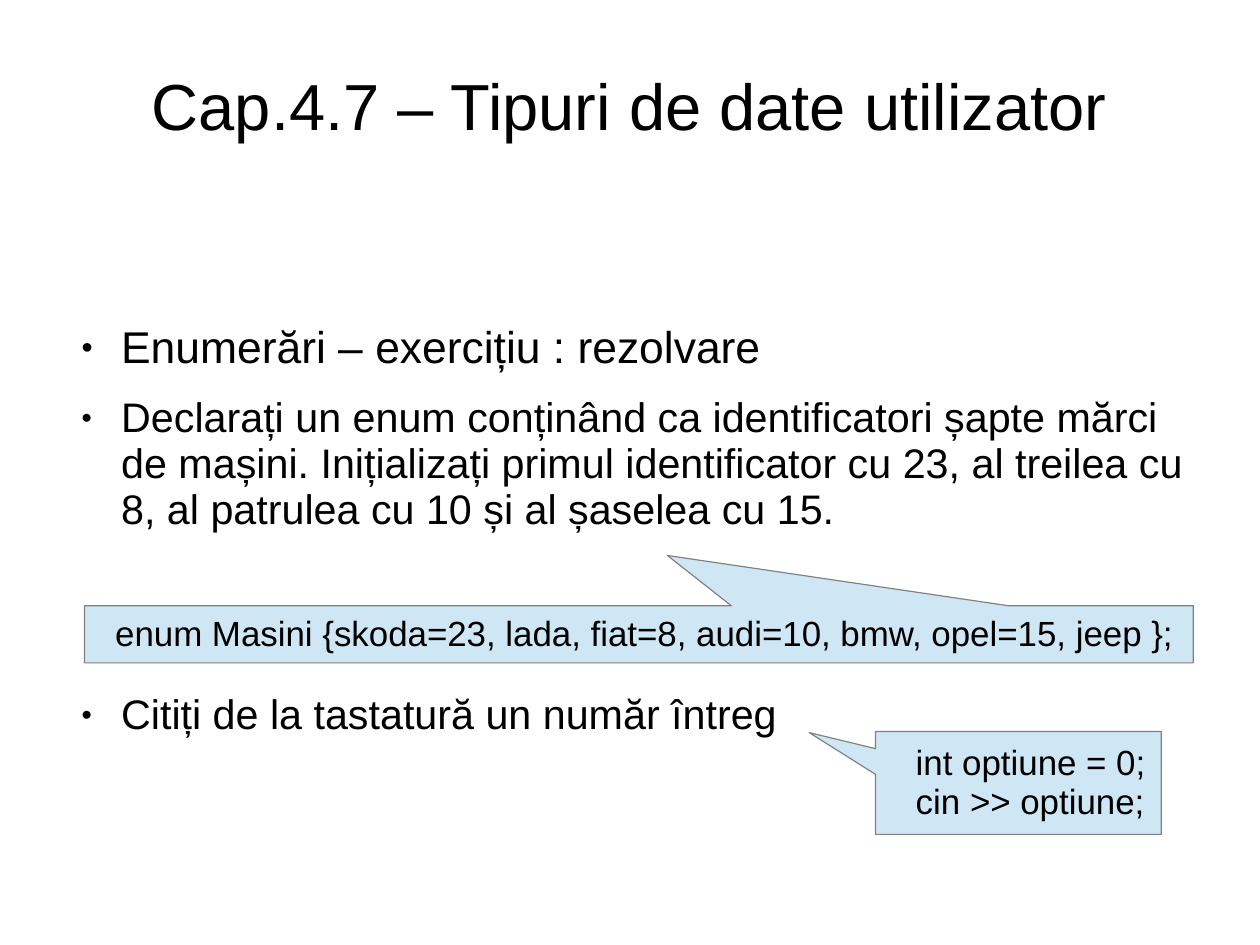
from lxml.etree import SubElement
from pptx import Presentation
from pptx.dml.color import RGBColor
from pptx.enum.shapes import MSO_SHAPE
from pptx.enum.text import MSO_ANCHOR, MSO_AUTO_SIZE, PP_ALIGN
from pptx.oxml.ns import qn
from pptx.util import Inches, Pt

BLACK, PALE_BLUE, GREY = "000000", "CFE7F5", "808080"
CM_PER_INCH = 2.54
PAGE = {"slide_width": Inches(28 / CM_PER_INCH), "slide_height": Inches(21 / CM_PER_INCH)}
BODY_FRAME = {"margin_left": 0, "margin_right": 0, "margin_bottom": 0,
              "word_wrap": True, "auto_size": MSO_AUTO_SIZE.NONE}
TITLE_FRAME = BODY_FRAME | {"margin_top": Inches(0.04), "vertical_anchor": MSO_ANCHOR.MIDDLE}
LIST_FRAME = BODY_FRAME | {"margin_top": Inches(0.03), "vertical_anchor": MSO_ANCHOR.TOP}
CALLOUT_FRAME = {"margin_left": Inches(0.1), "margin_right": Inches(0.1),
                 "margin_top": Inches(0.05), "margin_bottom": Inches(0.05),
                 "word_wrap": False, "vertical_anchor": MSO_ANCHOR.MIDDLE}
BULLETS = [
    ("Enumerări – exercițiu : rezolvare", 28, 0),
    ("Declarați un enum conținând ca identificatori șapte mărci de mașini. "
     "Inițializați primul identificator cu 23, al treilea cu 8, "
     "al patrulea cu 10 și al șaselea cu 15.", 26, 0),
    ("Citiți de la tastatură un număr întreg", 26, 86),
]
CALLOUTS = [
    ((0.74, 5.3, 9.7, 0.5), (5.84, 4.86),
     ["  enum Masini {skoda=23, lada, fiat=8, audi=10, bmw, opel=15, jeep };"]),
    ((7.66, 6.4, 2.5, 0.9), (7.08, 6.41),
     ["   int optiune = 0;", "   cin >> optiune;"]),
]


def color(hex_value):
    """Return the colour for a hex string."""
    return RGBColor.from_string(hex_value)


def apply(target, values):
    """Set every attribute in values on the target."""
    for name, value in values.items():
        setattr(target, name, value)


def place(shape, box):
    """Move a shape to a box given in inches."""
    apply(shape, dict(zip(("left", "top", "width", "height"), map(Inches, box))))


def write(paragraph, text, size, **layout):
    """Fill a paragraph with formatted text."""
    apply(paragraph, {"line_spacing": 0.93, "space_before": Pt(0)} | layout)
    run = paragraph.add_run()
    run.text = text
    apply(run.font, {"name": "Arial", "size": Pt(size)})
    run.font.color.rgb = color(BLACK)


def add_bullet(paragraph):
    """Give a paragraph a small round bullet and a hanging indent."""
    properties = paragraph._p.get_or_add_pPr()
    properties.set("marL", str(Inches(0.46)))
    properties.set("indent", str(Inches(-0.35)))
    bullet_color = SubElement(properties, qn("a:buClr"))
    SubElement(bullet_color, qn("a:srgbClr"), val=BLACK)
    SubElement(properties, qn("a:buSzPct"), val="45000")
    SubElement(properties, qn("a:buFont"), typeface="Arial")
    SubElement(properties, qn("a:buChar"), char="●")


def paragraphs(frame, count):
    """Return the given number of paragraphs of a text frame."""
    return [frame.paragraphs[0]] + [frame.add_paragraph() for _ in range(count - 1)]


def fill_title(shape, box):
    """Place and write the title."""
    place(shape, box)
    apply(shape.text_frame, TITLE_FRAME)
    write(shape.text_frame.paragraphs[0], "Cap.4.7 – Tipuri de date utilizator", 41,
          alignment=PP_ALIGN.CENTER)


def fill_list(shape, box):
    """Place and write the exercise steps."""
    place(shape, box)
    frame = shape.text_frame
    apply(frame, LIST_FRAME)
    for paragraph, (text, size, gap) in zip(paragraphs(frame, len(BULLETS)), BULLETS):
        add_bullet(paragraph)
        write(paragraph, text, size, space_before=Pt(gap), space_after=Pt(14.1))


def add_code_callout(slide, box, tip, lines):
    """Add a callout with code that points at the tip."""
    left, top, width, height = box
    shape = slide.shapes.add_shape(MSO_SHAPE.RECTANGULAR_CALLOUT, *map(Inches, box))
    shape.adjustments[0] = (tip[0] - left) / width - 0.5
    shape.adjustments[1] = (tip[1] - top) / height - 0.5
    shape.shadow.inherit = False
    shape.fill.solid()
    shape.fill.fore_color.rgb = color(PALE_BLUE)
    shape.line.color.rgb = color(GREY)
    shape.line.width = Pt(0.75)
    apply(shape.text_frame, CALLOUT_FRAME)
    for paragraph, line in zip(paragraphs(shape.text_frame, len(lines)), lines):
        write(paragraph, line, 22, alignment=PP_ALIGN.LEFT)


def main():
    """Build and save the slide."""
    presentation = Presentation()
    apply(presentation, PAGE)
    slide = presentation.slides.add_slide(presentation.slide_layouts[1])
    fill_title(slide.shapes.title, (0.39, 0.41, 10.24, 1.05))
    fill_list(slide.placeholders[1], (0.6, 2.8, 9.88, 4.67))
    for box, tip, lines in CALLOUTS:
        add_code_callout(slide, box, tip, lines)
    presentation.save("out.pptx")


if __name__ == "__main__":
    main()
